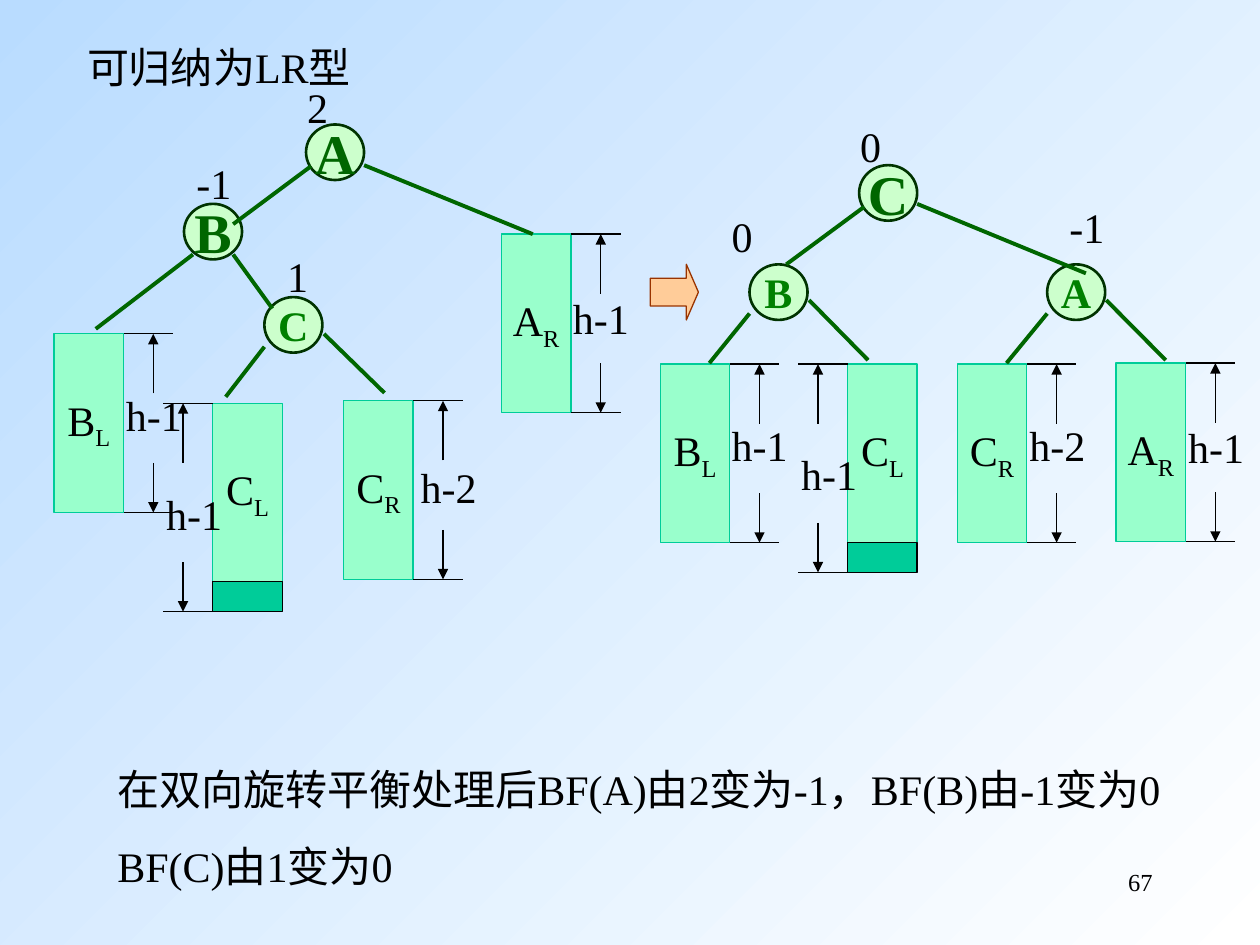
from lxml.etree import SubElement
from pptx import Presentation
from pptx.dml.color import RGBColor
from pptx.enum.shapes import MSO_CONNECTOR as Connector, MSO_SHAPE as Shape
from pptx.enum.text import MSO_ANCHOR as Anchor, MSO_AUTO_SIZE as AutoSize, PP_ALIGN as Align
from pptx.oxml.ns import qn
from pptx.util import Cm, Pt

FONT = "Times New Roman"
BLACK = RGBColor(0x00, 0x00, 0x00)
WHITE = RGBColor(0xFF, 0xFF, 0xFF)
SKY = RGBColor(0xB9, 0xDC, 0xFF)
NODE_FILL = RGBColor(0xCC, 0xFF, 0xCC)
NODE_LINE = RGBColor(0x00, 0x33, 0x00)
DARK_GREEN = RGBColor(0x00, 0x66, 0x00)
MID_GREEN = RGBColor(0x00, 0x80, 0x00)
BAR_FILL = RGBColor(0x99, 0xFF, 0xCC)
TEAL = RGBColor(0x00, 0xCC, 0x99)
PEACH = RGBColor(0xFF, 0xCC, 0x99)
BROWN = RGBColor(0x99, 0x33, 0x00)

NODE_W, NODE_H = 1.17, 1.12
BAR_W, BAR_H, EXTRA_H = 1.4, 3.6, 0.6
TICK = 1.0  # length of the dimension ticks

# Nodes: letter, left, top, text size, text colour (cm)
NODES = [
    ("A", 6.17, 2.51, 32, DARK_GREEN),
    ("B", 3.71, 4.11, 32, DARK_GREEN),
    ("C", 5.33, 5.99, 24, MID_GREEN),
    ("C", 17.32, 3.33, 32, DARK_GREEN),
    ("B", 15.11, 5.33, 24, MID_GREEN),
    ("A", 21.11, 5.33, 24, MID_GREEN),
]
# Balance factors: value, left, top
FACTORS = [
    ("2", 5.94, 1.52), ("-1", 3.71, 3.05), ("1", 5.54, 4.93),
    ("0", 17.09, 2.31), ("0", 14.5, 4.11), ("-1", 21.31, 3.94),
]
# Subtrees: letter, subscript, left, top, height label, label left, label top
SUBTREES = [
    ("B", "L", 1.09, 6.73, "h-1", 2.29, 7.72),
    ("C", "R", 6.93, 8.08, "h-2", 8.23, 9.17),
    ("A", "R", 10.11, 4.72, "h-1", 11.3, 5.77),
    ("B", "L", 13.31, 7.34, "h-1", 14.5, 8.33),
    ("C", "R", 19.3, 7.34, "h-2", 20.5, 8.33),
    ("A", "R", 22.5, 7.32, "h-1", 23.7, 8.38),
]
# Subtrees with an inserted block, measured on their left side
GROWN_SUBTREES = [
    ("C", "L", 4.29, 8.13, "h-1", 3.1, 9.73),
    ("C", "L", 17.09, 7.34, "h-1", 15.9, 8.92),
]
# Tree edges: x1, y1, x2, y2
EDGES = [
    (10.74, 4.72, 7.34, 3.33), (4.7, 4.52, 6.27, 3.35),
    (1.93, 6.63, 3.89, 5.13), (4.7, 5.13, 5.49, 6.22),
    (4.55, 8.0, 5.33, 6.99), (7.75, 7.92, 6.53, 6.73),
    (21.89, 5.51, 18.49, 4.11), (15.85, 5.33, 17.42, 4.17),
    (14.3, 7.32, 15.11, 6.32), (17.5, 7.26, 16.31, 6.05),
    (20.29, 7.32, 21.11, 6.32), (23.5, 7.26, 22.3, 6.05),
]


def write(box, *paragraphs, size=24, color=BLACK, bold=False, align=Align.LEFT,
          anchor=Anchor.TOP, wrap=True):
    """Fill a box; each paragraph is a list of (text, is_subscript) spans."""
    frame = box.text_frame
    frame.word_wrap = wrap
    frame.auto_size = AutoSize.NONE
    frame.vertical_anchor = anchor
    for index, spans in enumerate(paragraphs):
        para = frame.add_paragraph() if index else frame.paragraphs[0]
        properties = para._p.get_or_add_pPr()
        properties.set("marL", "0")
        properties.set("indent", "0")
        SubElement(properties, qn("a:buNone"))
        para.alignment = align
        para.space_before = Pt(15 if index else 0)
        for text, is_subscript in spans:
            span = para.add_run()
            span.text = text
            span.font.name, span.font.size = FONT, Pt(size)
            span.font.bold, span.font.color.rgb = bold, color
            if is_subscript:
                span._r.get_or_add_rPr().set("baseline", "-25000")


def place(box, left, top, width, height):
    box.left, box.top, box.width, box.height = map(Cm, (left, top, width, height))


def add_label(page, text, left, top, width=2.39, **style):
    box = page.shapes.add_textbox(Cm(left), Cm(top), Cm(width), Cm(1.27))
    write(box, [(text, False)], **style)


def add_block(page, kind, left, top, width, height, fill, line, weight=0.75):
    block = page.shapes.add_shape(kind, Cm(left), Cm(top), Cm(width), Cm(height))
    block.shadow.inherit = False
    block.fill.solid()
    block.fill.fore_color.rgb = fill
    block.line.color.rgb = line
    block.line.width = Pt(weight)
    return block


def add_line(page, x1, y1, x2, y2, color=BLACK, weight=0.75, arrow=False):
    line = page.shapes.add_connector(Connector.STRAIGHT, Cm(x1), Cm(y1), Cm(x2), Cm(y2))
    line.line.color.rgb = color
    line.line.width = Pt(weight)
    if arrow:
        SubElement(line.line._get_or_add_ln(), qn("a:tailEnd"), type="triangle")
    SubElement(line._element.spPr, qn("a:effectLst"))


def add_node(page, letter, left, top, size, color):
    node = add_block(page, Shape.OVAL, left, top, NODE_W, NODE_H, NODE_FILL, NODE_LINE, 1.5)
    write(node, [(letter, False)], size=size, color=color, bold=True,
          align=Align.CENTER, anchor=Anchor.MIDDLE, wrap=False)


def add_dimension(page, tick_left, arrow_x, top, height):
    """Two ticks, with an arrow pointing out to each of them."""
    bottom = top + height
    for y in (top, bottom):
        add_line(page, tick_left, y, tick_left + TICK, y)
    add_line(page, arrow_x, top + 1.2, arrow_x, top, arrow=True)
    add_line(page, arrow_x, bottom - 1, arrow_x, bottom, arrow=True)


def add_subtree(page, letter, subscript, left, top, label, label_left, label_top, grown=False):
    bar = add_block(page, Shape.RECTANGLE, left, top, BAR_W, BAR_H, BAR_FILL, TEAL)
    write(bar, [(letter, False), (subscript, True)],
          align=Align.CENTER, anchor=Anchor.MIDDLE, wrap=False)
    if grown:
        add_block(page, Shape.RECTANGLE, left, top + BAR_H, BAR_W, EXTRA_H, TEAL, BLACK)
        add_dimension(page, left - TICK, left - 0.6, top, BAR_H + EXTRA_H)
    else:
        add_dimension(page, left + BAR_W, left + BAR_W + 0.6, top, BAR_H)
    add_label(page, label, label_left, label_top)


def set_background(page):
    fill = page.background.fill
    fill.gradient()
    fill.gradient_angle = 315
    for stop, color in zip(fill.gradient_stops, (SKY, WHITE)):
        stop.color.rgb = color
    fill.gradient_stops[0].position, fill.gradient_stops[1].position = 0, 1


def main():
    deck = Presentation()
    deck.slide_width, deck.slide_height = Cm(25.4), Cm(19.05)
    page = deck.slides.add_slide(deck.slide_layouts[1])
    set_background(page)

    # Title and explanation
    title, body = page.shapes.title, page.placeholders[1]
    place(title, 1.5, 0.71, 7.6, 1.27)
    write(title, [("可归纳为LR型", False)])
    place(body, 2.11, 15.27, 21.8, 3.83)
    write(body,
          [("在双向旋转平衡处理后BF(A)由2变为-1，BF(B)由-1变为0", False)],
          [("BF(C)由1变为0", False)])

    # Trees before and after the rotation
    for subtree in SUBTREES:
        add_subtree(page, *subtree)
    for subtree in GROWN_SUBTREES:
        add_subtree(page, *subtree, grown=True)
    for node in NODES:
        add_node(page, *node)
    for edge in EDGES:
        add_line(page, *edge, color=DARK_GREEN, weight=2.25)
    for value, left, top in FACTORS:
        add_label(page, value, left, top, width=1.6)

    # Rotation arrow
    arrow = add_block(page, Shape.RIGHT_ARROW, 13.11, 5.33, 0.97, 1.12, PEACH, BROWN)
    arrow.adjustments[0], arrow.adjustments[1] = 0.5, 0.25

    # Page number
    add_label(page, "67", 18.21, 17.35, width=5.28, size=14, align=Align.RIGHT)

    deck.save("out.pptx")


if __name__ == "__main__":
    main()
